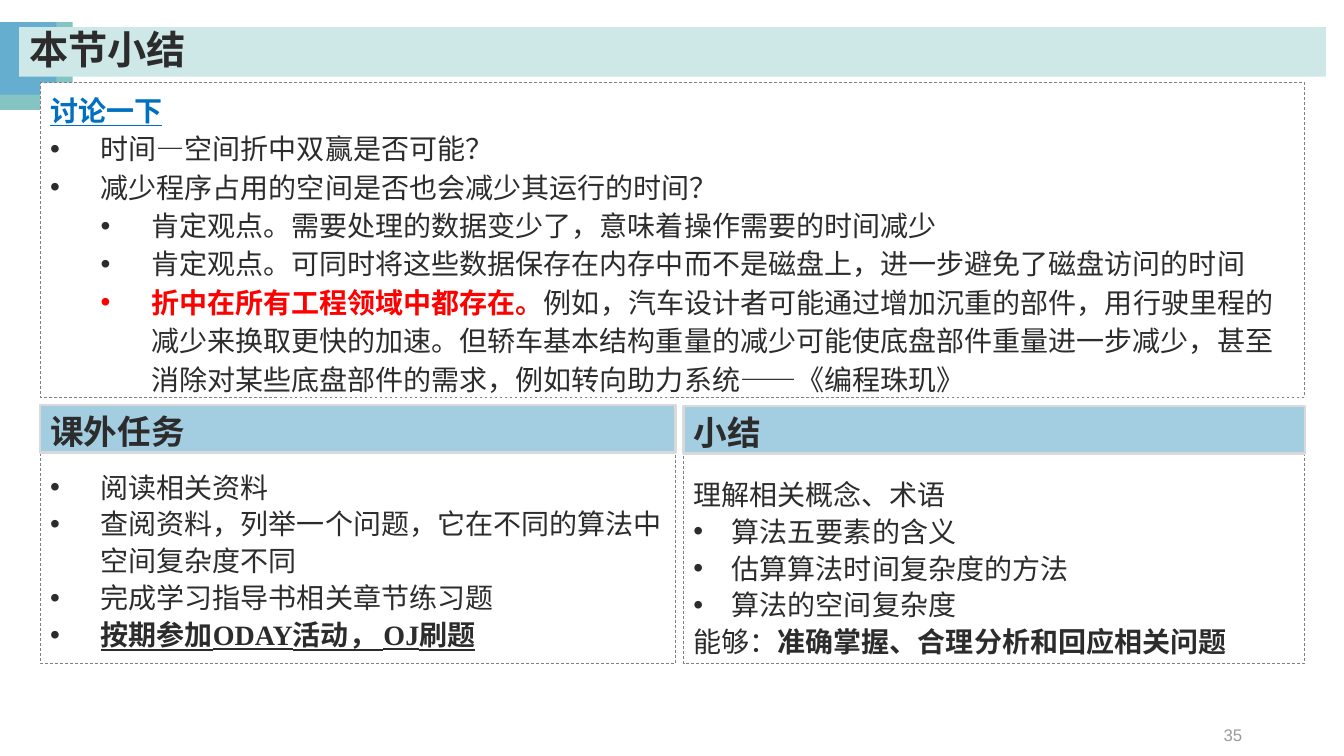
"""Build the section summary slide with discussion, homework and recap panels."""
import lxml.etree
import pptx
import pptx.dml.color
import pptx.enum.dml
import pptx.enum.shapes
import pptx.enum.text
import pptx.oxml.ns
import pptx.util

Inches = pptx.util.Inches
Pt = pptx.util.Pt
RGBColor = pptx.dml.color.RGBColor
Align = pptx.enum.text.PP_ALIGN
Anchor = pptx.enum.text.MSO_ANCHOR

INK = RGBColor(0x2C, 0x2C, 0x2C)
BLUE = RGBColor(0x00, 0x70, 0xC0)
RED = RGBColor(0xFF, 0x00, 0x00)
WHITE = RGBColor(0xFF, 0xFF, 0xFF)
TEAL = RGBColor(0x84, 0xC4, 0xC3)
SKY = RGBColor(0x65, 0xAE, 0xCF)
MINT = RGBColor(0xCE, 0xE7, 0xE7)
HEADER_BLUE = RGBColor(0xA3, 0xCE, 0xE2)
HEADER_EDGE = RGBColor(0xD9, 0xD9, 0xD9)
PANEL_EDGE = RGBColor(0x80, 0x80, 0x80)
NUMBER_GRAY = RGBColor(0x9B, 0x9B, 0x9B)

CJK_FONT = "Noto Sans CJK SC"
BODY_FONT = "Times New Roman"
HEADER_HEIGHT = 0.47

DISCUSSION = [
    (0, 0, [("讨论一下", BLUE, True, True)]),
    (0.5, 0.5, [("时间—空间折中双赢是否可能？", INK, False, False)]),
    (0.5, 0.5, [("减少程序占用的空间是否也会减少其运行的时间？", INK, False, False)]),
    (1, 0.5, [("肯定观点。需要处理的数据变少了，意味着操作需要的时间减少", INK, False, False)]),
    (1, 0.5, [("肯定观点。可同时将这些数据保存在内存中而不是磁盘上，进一步避免了磁盘访问的时间",
               INK, False, False)]),
    (1, 0.5, [("折中在所有工程领域中都存在。", RED, True, False),
              ("例如，汽车设计者可能通过增加沉重的部件，用行驶里程的减少来换取更快的加速。"
               "但轿车基本结构重量的减少可能使底盘部件重量进一步减少，甚至消除对某些底盘部件的需求，"
               "例如转向助力系统——《编程珠玑》", INK, False, False)]),
]
HOMEWORK = [
    (0.5, 0.5, [("阅读相关资料", INK, False, False)]),
    (0.5, 0.5, [("查阅资料，列举一个问题，它在不同的算法中空间复杂度不同", INK, False, False)]),
    (0.5, 0.5, [("完成学习指导书相关章节练习题", INK, False, False)]),
    (0.5, 0.5, [("按期参加ODAY活动， OJ刷题", INK, True, True)]),
]
RECAP = [
    (0, 0, [("理解相关概念、术语", INK, False, False)]),
    (0.38, 0.38, [("算法五要素的含义", INK, False, False)]),
    (0.38, 0.38, [("估算算法时间复杂度的方法", INK, False, False)]),
    (0.38, 0.38, [("算法的空间复杂度", INK, False, False)]),
    (0, 0, [("能够：", INK, False, False),
            ("准确掌握、合理分析和回应相关问题", INK, True, False)]),
]


def add_rectangle(slide, box, fill, edge=None, width=0.5, dashed=False):
    """Add a flat rectangle with an optional outline."""
    shape = slide.shapes.add_shape(
        pptx.enum.shapes.MSO_SHAPE.RECTANGLE, *(Inches(length) for length in box))
    shape.shadow.inherit = False
    shape.fill.solid()
    shape.fill.fore_color.rgb = fill
    if edge is None:
        shape.line.fill.background()
    else:
        shape.line.color.rgb = edge
        shape.line.width = Pt(width)
        if dashed:
            shape.line.dash_style = pptx.enum.dml.MSO_LINE.DASH
    return shape


def add_run(paragraph, text, size, color, bold=False, underline=False, font_name=BODY_FONT):
    """Append a run with Latin and East Asian fonts."""
    run = paragraph.add_run()
    run.text = text
    run.font.size = Pt(size)
    run.font.bold = bold
    run.font.underline = underline
    run.font.color.rgb = color
    run.font.name = font_name
    east_asian = lxml.etree.SubElement(run.font._element, pptx.oxml.ns.qn("a:ea"))
    east_asian.set("typeface", CJK_FONT)


def add_bullet(paragraph, margin, hanging):
    """Give a paragraph a round bullet and a hanging indent."""
    properties = paragraph._p.get_or_add_pPr()
    properties.set("marL", str(Inches(margin)))
    properties.set("indent", str(-Inches(hanging)))
    font = lxml.etree.SubElement(properties, pptx.oxml.ns.qn("a:buFont"))
    font.set("typeface", "Arial")
    bullet = lxml.etree.SubElement(properties, pptx.oxml.ns.qn("a:buChar"))
    bullet.set("char", "•")


def add_heading(shape, text, size, spacing, font_name):
    """Write one bold, left-aligned heading line in a shape."""
    frame = shape.text_frame
    frame.word_wrap = True
    frame.vertical_anchor = Anchor.MIDDLE
    paragraph = frame.paragraphs[0]
    paragraph.alignment = Align.LEFT
    paragraph.line_spacing = spacing
    add_run(paragraph, text, size, INK, bold=True, font_name=font_name)


def add_panel(slide, box, items, top_inset, line_height):
    """Add a dashed panel holding plain and bulleted paragraphs."""
    frame = add_rectangle(slide, box, WHITE, PANEL_EDGE, dashed=True).text_frame
    frame.word_wrap = True
    frame.vertical_anchor = Anchor.TOP
    frame.margin_top = Inches(top_inset)
    for index, (margin, hanging, runs) in enumerate(items):
        paragraph = frame.paragraphs[0] if index == 0 else frame.add_paragraph()
        if hanging:
            add_bullet(paragraph, margin, hanging)
        paragraph.alignment = Align.LEFT
        paragraph.line_spacing = Pt(line_height)
        for text, color, bold, underline in runs:
            add_run(paragraph, text, 20, color, bold, underline)


def add_headed_panel(slide, box, heading, items, top_inset):
    """Add a panel with a heading bar along its top edge."""
    left, top, width, height = box
    add_panel(slide, box, items, top_inset, 26.4)
    bar = add_rectangle(slide, (left, top, width, HEADER_HEIGHT), HEADER_BLUE, HEADER_EDGE, 1.5)
    add_heading(bar, heading, 24, 1.1, "Arial")


def add_title_band(slide, box, title):
    """Add the corner blocks and the title band over them."""
    left, top, width, height = box
    corner_top = top - 0.05
    add_rectangle(slide, (0, corner_top, 0.72, 0.87), TEAL)
    add_rectangle(slide, (0, corner_top, 0.56, 0.72), SKY)
    add_heading(add_rectangle(slide, box, MINT), title, 28, 0.9, CJK_FONT)


def add_slide_number(slide, box, number):
    """Add the right-aligned slide number."""
    frame = slide.shapes.add_textbox(*(Inches(length) for length in box)).text_frame
    frame.word_wrap = True
    frame.vertical_anchor = Anchor.MIDDLE
    frame.paragraphs[0].alignment = Align.RIGHT
    add_run(frame.paragraphs[0], number, 12, NUMBER_GRAY, font_name="Arial")


def main():
    """Build and save the presentation."""
    presentation = pptx.Presentation()
    presentation.slide_width = Inches(13.33)
    presentation.slide_height = Inches(7.5)
    slide = presentation.slides.add_slide(presentation.slide_layouts[6])
    add_title_band(slide, (0.19, 0.27, 12.96, 0.49), "本节小结")
    add_slide_number(slide, (9.42, 7.09, 3, 0.4), "35")
    add_panel(slide, (0.4, 0.82, 12.54, 3.12), DISCUSSION, 0.06, 27.4)
    add_headed_panel(slide, (0.4, 4.02, 6.3, 2.56), "课外任务", HOMEWORK, 0.61)
    add_headed_panel(slide, (6.78, 4.03, 6.16, 2.55), "小结", RECAP, 0.67)
    presentation.save("out.pptx")


if __name__ == "__main__":
    main()
